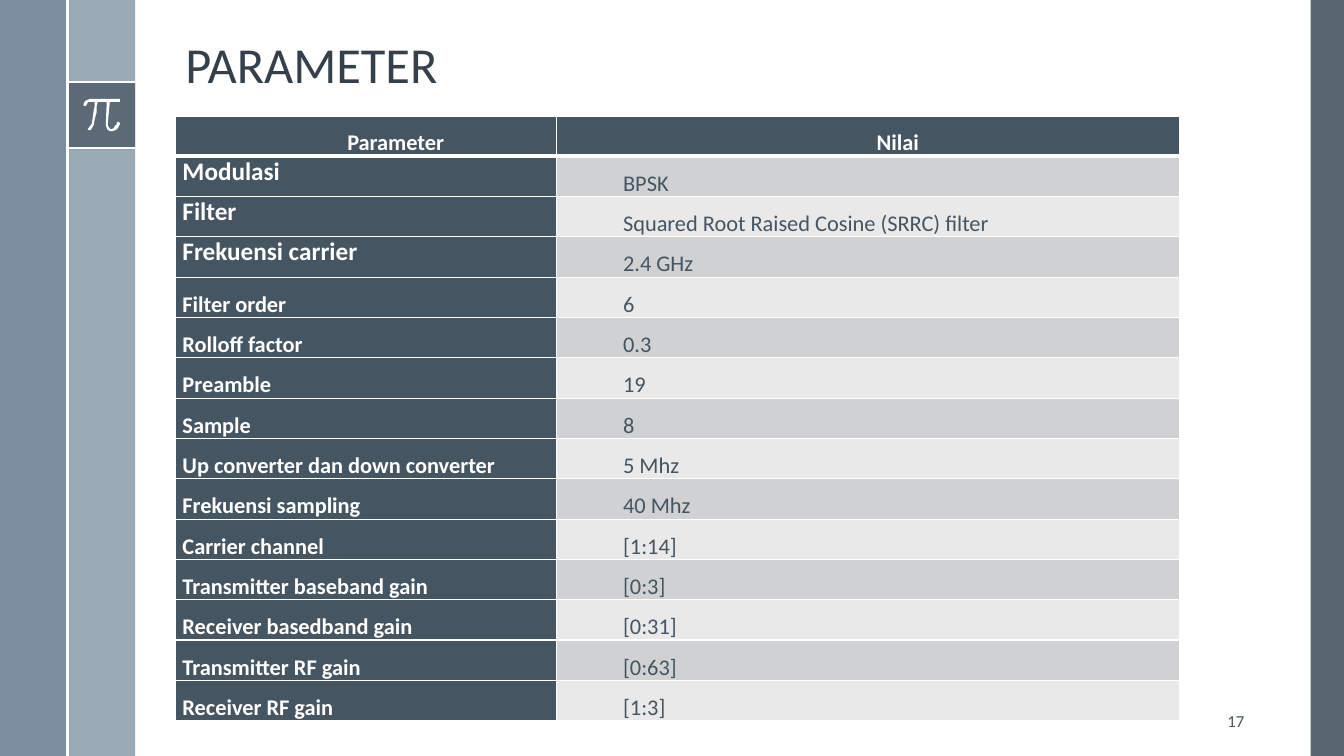
from dataclasses import dataclass

from pptx import Presentation
from pptx import util as u
from pptx.dml.color import RGBColor
from pptx.enum import shapes, text
from pptx.oxml import ns
from lxml import etree

IN = u.Inches
AL = text.PP_ALIGN
MID = text.MSO_ANCHOR


@dataclass(frozen=True)
class Theme:
    font: str = "Calibri"
    white: str = "FFFFFF"
    dark: str = "475562"
    light: str = "9BAAB7"
    blue: str = "6A8093"
    title: str = "35404A"
    ink: str = "465562"
    bands: tuple = ("CFD1D3", "E9E9EA")
    head_pt: int = 36
    big_pt: int = 18
    body_pt: int = 16
    note_pt: int = 12


def sub(node, tag, **attrs):
    return etree.SubElement(node, ns.qn(tag), {k: str(v) for k, v in attrs.items()})


def write(frame, words, size, color, font, bold=False, align=AL.LEFT, space=None, indent=0):
    """Put one formatted paragraph in a text frame."""
    para = frame.paragraphs[0]
    para.alignment = align
    if space:
        para.line_spacing = space
    if indent:
        props = para._p.get_or_add_pPr()
        props.set("marL", "0")
        props.set("indent", str(IN(indent)))
    run = para.add_run()
    run.text = words
    run.font.name, run.font.size, run.font.bold = font, u.Pt(size), bold
    run.font.color.rgb = RGBColor.from_string(color)


def trace(start, steps, parts=5):
    """Flatten lines (x, y) and cubic curves (three points) to a list of points."""
    spots = [start]
    for step in steps:
        if len(step) == 2:
            spots.append(step)
            continue
        a, b, c, d = spots[-1], step[:2], step[2:4], step[4:]
        for i in range(1, parts + 1):
            t = i / parts
            s = 1 - t
            spots.append(tuple(s**3 * a[k] + 3 * s * s * t * b[k] + 3 * s * t * t * c[k]
                               + t**3 * d[k] for k in (0, 1)))
    return spots


class Deck:
    def __init__(self, theme):
        self.theme = theme
        self.prs = Presentation()
        self.prs.slide_width, self.prs.slide_height = IN(13.33), IN(7.5)
        self.slide = self.prs.slides.add_slide(self.prs.slide_layouts[6])
        self.shapes = self.slide.shapes

    def paint(self, shape, color, alpha=100):
        shape.shadow.inherit = False
        shape.fill.solid()
        shape.fill.fore_color.rgb = RGBColor.from_string(color)
        shape.line.fill.background()
        if alpha < 100:
            tint = shape._element.spPr.find(".//" + ns.qn("a:srgbClr"))
            sub(tint, "a:alpha", val=alpha * 1000)

    def rect(self, x, y, w, h, color, alpha=100):
        box = self.shapes.add_shape(shapes.MSO_SHAPE.RECTANGLE, IN(x), IN(y), IN(w), IN(h))
        self.paint(box, color, alpha)

    def line(self, x1, y1, x2, y2):
        rule = self.shapes.add_connector(
            shapes.MSO_CONNECTOR.STRAIGHT, IN(x1), IN(y1), IN(x2), IN(y2))
        rule.line.color.rgb = RGBColor.from_string(self.theme.white)
        rule.line.width = u.Pt(1.5)
        sub(rule._element.spPr, "a:effectLst")

    def free(self, spots, color):
        """Draw a closed outline from points in hundredths of an inch."""
        pen = self.shapes.build_freeform(*spots[0], scale=IN(0.01))
        pen.add_line_segments(spots[1:], close=True)
        self.paint(pen.convert_to_shape(), color)

    def label(self, x, y, w, h, words, anchor, **style):
        frame = self.shapes.add_textbox(IN(x), IN(y), IN(w), IN(h)).text_frame
        frame.word_wrap = True
        frame.vertical_anchor = anchor
        write(frame, words, font=self.theme.font, **style)

    def cell(self, cell, words, fill, head=False, **style):
        cell.margin_left = cell.margin_right = IN(0.07)
        cell.margin_top = cell.margin_bottom = 0
        props = cell._tc.get_or_add_tcPr()
        for side in "LRTB":
            width = 3 if head and side == "B" else 1
            edge = sub(props, "a:ln" + side, w=u.Pt(width))
            sub(sub(edge, "a:solidFill"), "a:srgbClr", val=self.theme.white)
        cell.fill.solid()
        cell.fill.fore_color.rgb = RGBColor.from_string(fill)
        write(cell.text_frame, words, font=self.theme.font, **style)

    def table(self, x, y, cols, high, heads, rows, large):
        """Draw a table; the first `large` row names are bigger and single spaced."""
        th = self.theme
        grid = self.shapes.add_table(len(rows) + 1, len(cols), IN(x), IN(y),
                                     IN(sum(cols)), IN(high * (len(rows) + 1))).table
        grid.first_row = grid.horz_banding = False
        for col, wide in zip(grid.columns, cols):
            col.width = IN(wide)
        lead = dict(color=th.white, bold=True)
        shift = dict(size=th.body_pt, space=1.5, indent=0.59)
        for i, words in enumerate(heads):
            self.cell(grid.cell(0, i), words, th.ink, head=True,
                      align=AL.CENTER, **lead, **shift)
        for i, (name, value) in enumerate(rows):
            size, space = (th.big_pt, None) if i < large else (th.body_pt, 1.5)
            self.cell(grid.cell(i + 1, 0), name, th.ink, size=size, space=space, **lead)
            self.cell(grid.cell(i + 1, 1), value, th.bands[i % 2],
                      color=th.ink, align=AL.JUSTIFY, **shift)


PI = trace((118, 98), [
    (90, 98), (85, 98, 83, 103, 83, 104), (83, 104, 83, 105, 84, 105), (85, 105),
    (85, 105, 87, 101, 90, 101), (94, 101), (94, 105, 93, 122, 88, 127),
    (87, 128, 87, 128, 88, 129), (90, 129), (95, 123, 96, 105, 97, 101), (106, 101),
    (105, 122), (105, 122, 104, 126, 107, 129), (108, 130, 109, 130, 110, 130),
    (112, 130), (117, 130, 119, 123, 119, 122), (119, 122, 118, 121, 118, 121),
    (117, 121, 116, 121, 116, 122), (116, 122, 115, 127, 111, 128),
    (110, 128, 109, 128, 108, 127), (107, 126, 107, 123, 107, 122), (109, 101),
    (118, 101), (119, 101, 119, 100, 119, 100), (119, 99, 119, 98, 118, 98)])

ROWS = [
    ("Modulasi", "BPSK"),
    ("Filter", "Squared Root Raised Cosine (SRRC) filter"),
    ("Frekuensi carrier", "2.4 GHz"),
    ("Filter order", "6"),
    ("Rolloff factor", "0.3"),
    ("Preamble", "19"),
    ("Sample", "8"),
    ("Up converter dan down converter", "5 Mhz"),
    ("Frekuensi sampling", "40 Mhz"),
    ("Carrier channel", "[1:14]"),
    ("Transmitter baseband gain", "[0:3]"),
    ("Receiver basedband gain", "[0:31]"),
    ("Transmitter RF gain", "[0:63]"),
    ("Receiver RF gain", "[1:3]"),
]


def main():
    th = Theme()
    deck = Deck(th)

    # Side bands
    deck.rect(13, 0, 0.33, 7.5, th.dark, 90)
    deck.rect(0.67, 0, 0.67, 7.5, th.light)
    deck.rect(0, 0, 0.67, 7.5, th.blue, 88)

    # Pi badge and rules
    deck.rect(0.67, 0.81, 0.67, 0.67, th.dark, 75)
    for y in (0.81, 1.47):
        deck.line(0.67, y, 1.34, y)
    deck.free(PI, th.white)
    deck.line(0.67, 0, 0.67, 7.5)

    # Title and page number
    deck.label(1.74, 0.19, 10.7, 0.8, "PARAMETER", MID.BOTTOM,
               size=th.head_pt, color=th.title, space=0.9)
    deck.label(11.77, 6.95, 0.67, 0.4, "17", MID.MIDDLE,
               size=th.note_pt, color=th.ink, align=AL.RIGHT)

    # Parameter table
    deck.table(1.74, 1.15, (3.78, 6.18), 0.4, ("Parameter", "Nilai"), ROWS, large=3)

    deck.prs.save("out.pptx")


if __name__ == "__main__":
    main()
